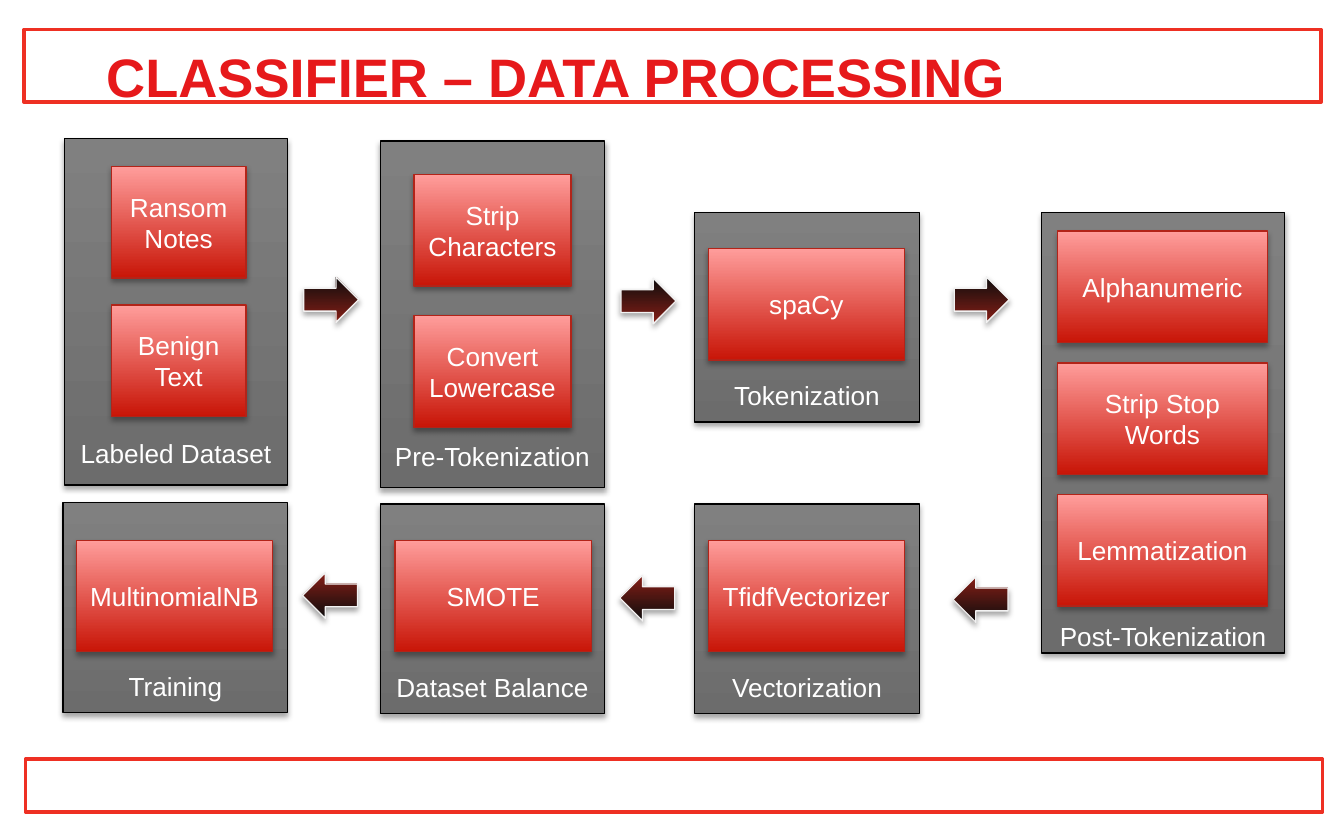
from dataclasses import dataclass
from typing import NamedTuple

from lxml import etree
from pptx import Presentation
from pptx import util as u
from pptx.dml.color import RGBColor
from pptx.enum import shapes, text
from pptx.oxml import ns


@dataclass(frozen=True)
class Theme:
    font: str = "Arial"
    title_size: int = 29
    body_size: int = 14
    title: str = "E6191B"
    frame: str = "EE3023"
    white: str = "FFFFFF"
    # Gradients run from bottom to top
    panel: tuple = ("6C6C6C", "808080")
    panel_line: str = "000000"
    step: tuple = ("C81507", "FF9D9B")
    step_line: str = "B22419"
    arrow: tuple = ("861E16", "0D0D0D")
    arrow_line: str = "F2F2F2"


class Stage(NamedTuple):
    label: str
    box: tuple  # left, top, width, height
    label_gap: float  # space under the label
    step_left: float
    step_top: float
    step_width: float
    step_pitch: float
    steps: tuple


STEP_HEIGHT = 0.83
ARROW_SIZE = (0.41, 0.34)

STAGES = (
    Stage("Labeled Dataset", (0.48, 1.03, 1.66, 2.58), 0.12,
          0.83, 1.24, 1, 1.03, ("Ransom Notes", "Benign Text")),
    Stage("Pre-Tokenization", (2.83, 1.05, 1.67, 2.58), 0.12,
          3.08, 1.3, 1.17, 1.05, ("Strip Characters", "Convert Lowercase")),
    Stage("Tokenization", (5.17, 1.58, 1.67, 1.56), 0.08,
          5.27, 1.85, 1.46, 0, ("spaCy",)),
    Stage("Post-Tokenization", (7.75, 1.58, 1.81, 3.28), 0.01,
          7.87, 1.72, 1.56, 0.98,
          ("Alphanumeric", "Strip Stop Words", "Lemmatization")),
    Stage("Vectorization", (5.17, 3.75, 1.67, 1.56), 0.08,
          5.27, 4.02, 1.46, 0, ("TfidfVectorizer",)),
    Stage("Dataset Balance", (2.83, 3.75, 1.67, 1.56), 0.08,
          2.94, 4.02, 1.46, 0, ("SMOTE",)),
    Stage("Training", (0.47, 3.74, 1.67, 1.56), 0.08,
          0.57, 4.02, 1.46, 0, ("MultinomialNB",)),
)

# Left, top, rotation
ARROWS = (
    (2.26, 2.06, 0), (4.62, 2.07, 0), (7.1, 2.06, 0),
    (7.09, 4.29, 180), (4.61, 4.28, 180), (2.25, 4.26, 180),
)


def write(shape, content, *, font, size, color, bold=False,
          align=text.PP_ALIGN.CENTER, anchor=text.MSO_ANCHOR.MIDDLE,
          top=0.05, bottom=0.05):
    """Put one formatted paragraph into a shape."""
    frame = shape.text_frame
    frame.word_wrap = True
    frame.auto_size = text.MSO_AUTO_SIZE.NONE
    frame.vertical_anchor = anchor
    frame.margin_left = frame.margin_right = u.Inches(0.1)
    frame.margin_top, frame.margin_bottom = u.Inches(top), u.Inches(bottom)
    paragraph = frame.paragraphs[0]
    paragraph.alignment = align
    run = paragraph.add_run()
    run.text = content
    run.font.name = font
    run.font.size = u.Pt(size)
    run.font.bold = bold
    run.font.color.rgb = RGBColor.from_string(color)


def add_soft_shadow(shape):
    shape.shadow.inherit = False
    effects = shape._element.spPr.find(ns.qn("a:effectLst"))
    shadow = etree.SubElement(
        effects, ns.qn("a:outerShdw"), blurRad=str(u.Pt(3.1)),
        dist=str(u.Pt(1.8)), dir="5400000", rotWithShape="0")
    color = etree.SubElement(shadow, ns.qn("a:srgbClr"), val="000000")
    etree.SubElement(color, ns.qn("a:alpha"), val="35000")


class SlideBuilder:
    def __init__(self, slide, theme):
        self.slide = slide
        self.theme = theme

    def title(self, content, left, top, width, height):
        shape = self.slide.shapes.title
        shape.left, shape.top = u.Inches(left), u.Inches(top)
        shape.width, shape.height = u.Inches(width), u.Inches(height)
        write(shape, content, font=self.theme.font, size=self.theme.title_size,
              color=self.theme.title, bold=True, align=text.PP_ALIGN.LEFT,
              anchor=text.MSO_ANCHOR.TOP, top=0.1)

    def outline(self, kind, box, color, width):
        shape = self.slide.shapes.add_shape(kind, *map(u.Inches, box))
        shape.shadow.inherit = False
        shape.fill.background()
        shape.line.color.rgb = RGBColor.from_string(color)
        shape.line.width = u.Pt(width)
        return shape

    def frame(self, *box):
        self.outline(shapes.MSO_SHAPE.RECTANGLE, box, self.theme.frame, 2)

    def glossy(self, kind, box, colors, line):
        shape = self.outline(kind, box, line, 0.75)
        shape.fill.gradient()
        shape.fill.gradient_angle = 90
        for stop, color, position in zip(shape.fill.gradient_stops, colors, (0, 1)):
            stop.color.rgb = RGBColor.from_string(color)
            stop.position = position
        add_soft_shadow(shape)
        return shape

    def block(self, content, box, colors, line, **options):
        shape = self.glossy(shapes.MSO_SHAPE.RECTANGLE, box, colors, line)
        write(shape, content, font=self.theme.font, size=self.theme.body_size,
              color=self.theme.white, **options)

    def stage(self, stage):
        self.block(stage.label, stage.box, self.theme.panel, self.theme.panel_line,
                   anchor=text.MSO_ANCHOR.BOTTOM, bottom=stage.label_gap)
        for index, step in enumerate(stage.steps):
            top = stage.step_top + index * stage.step_pitch
            self.block(step, (stage.step_left, top, stage.step_width, STEP_HEIGHT),
                       self.theme.step, self.theme.step_line)

    def arrow(self, left, top, rotation):
        shape = self.glossy(shapes.MSO_SHAPE.RIGHT_ARROW, (left, top, *ARROW_SIZE),
                            self.theme.arrow, self.theme.arrow_line)
        shape.rotation = rotation


def main():
    presentation = Presentation()
    presentation.slide_width = u.Inches(10)
    presentation.slide_height = u.Inches(6.25)
    slide = presentation.slides.add_slide(presentation.slide_layouts[5])
    builder = SlideBuilder(slide, Theme())

    # Title and the header and footer frames
    builder.title("CLASSIFIER – DATA PROCESSING", 0.69, 0.22, 8.62, 0.45)
    builder.frame(0.19, 5.65, 9.65, 0.39)
    builder.frame(0.18, 0.22, 9.65, 0.54)

    # Pipeline stages and the arrows between them
    for stage in STAGES:
        builder.stage(stage)
    for arrow in ARROWS:
        builder.arrow(*arrow)

    presentation.save("out.pptx")


if __name__ == "__main__":
    main()
